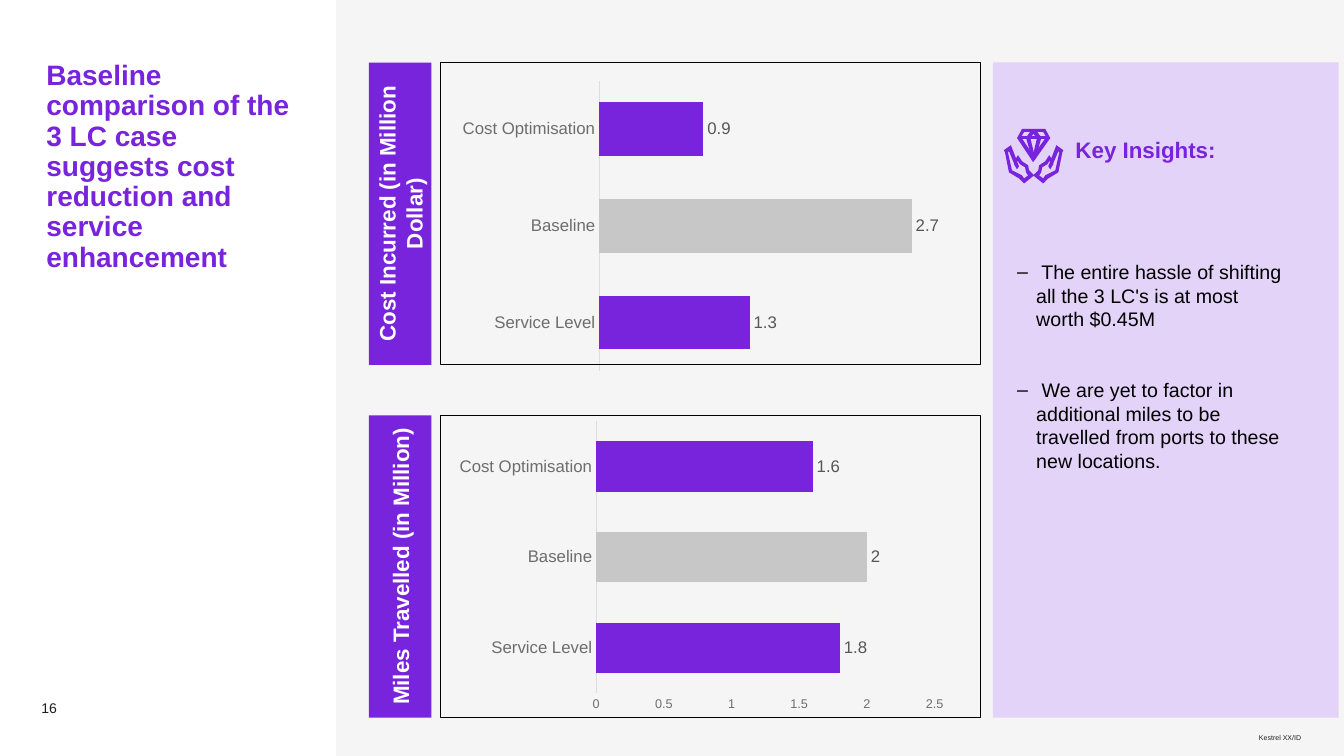
from lxml.etree import SubElement
from pptx import Presentation
from pptx.chart.data import CategoryChartData
from pptx.dml.color import RGBColor
from pptx.enum.chart import XL_CHART_TYPE, XL_LABEL_POSITION, XL_TICK_MARK
from pptx.enum.shapes import MSO_SHAPE
from pptx.enum.text import MSO_ANCHOR, PP_ALIGN
from pptx.oxml.ns import qn
from pptx.util import Inches, Pt

PURPLE, LILAC, WHITE, BLACK, INK = "7823DC", "E4D3F8", "FFFFFF", "000000", "1E1E1E"
GREY, LABEL_GREY, AXIS_GREY, RULE_GREY = "C7C7C7", "565656", "6D6D6D", "DDDDDD"
FONT = "Arial"
CELL = 1 / 3  # the slide is a grid of 40 columns by 22.5 rows


def rgb(value):
    return RGBColor.from_string(value)


def grid(*cells):
    return [Inches(c * CELL) for c in cells]


class SlideBuilder:
    def __init__(self, prs, background):
        self.slide = prs.slides.add_slide(prs.slide_layouts[5])
        self.shapes = self.slide.shapes
        self.slide.background.fill.solid()
        self.slide.background.fill.fore_color.rgb = rgb(background)

    def font(self, font, size, color, bold=False):
        font.name, font.size, font.bold = FONT, Pt(size), bold
        font.color.rgb = rgb(color)

    def fill_text(self, tf, lines, size, color, bold=False, align=PP_ALIGN.LEFT,
                  anchor=MSO_ANCHOR.TOP, inset=(0, 0), spacing=None):
        tf.word_wrap, tf.vertical_anchor = True, anchor
        tf.margin_left = tf.margin_right = Inches(inset[0])
        tf.margin_top = tf.margin_bottom = Inches(inset[1])
        tf.text = "\n".join(lines)
        for p in tf.paragraphs:
            p.alignment, p.line_spacing = align, spacing
            for r in p.runs:
                self.font(r.font, size, color, bold)

    def title(self, box, text):
        sp = self.shapes.title
        sp.left, sp.top, sp.width, sp.height = grid(*box)
        self.fill_text(sp.text_frame, [text], 20, PURPLE, True, spacing=0.9)

    def text(self, box, lines, size, color, **style):
        sp = self.shapes.add_textbox(*grid(*box))
        self.fill_text(sp.text_frame, lines, size, color, **style)
        return sp

    def paint(self, sp, fill=None, line=None):
        sp.shadow.inherit = False
        if fill:
            sp.fill.solid()
            sp.fill.fore_color.rgb = rgb(fill)
        else:
            sp.fill.background()
        if line:
            sp.line.color.rgb, sp.line.width = rgb(line), Pt(0.75)
        else:
            sp.line.fill.background()

    def rect(self, box, fill=None, line=None):
        sp = self.shapes.add_shape(MSO_SHAPE.RECTANGLE, *grid(*box))
        self.paint(sp, fill, line)
        return sp

    def side_label(self, box, text):
        col, row, width, height = box
        shift = (height - width) / 2
        sp = self.rect((col - shift, row + shift, height, width), PURPLE)
        sp.rotation = 270
        self.fill_text(sp.text_frame, [text], 16, WHITE, True, PP_ALIGN.CENTER,
                       MSO_ANCHOR.MIDDLE, (0.1, 0.05))

    def bullets(self, box, lines, gap):
        sp = self.text(box, lines, 14, BLACK)
        for i, p in enumerate(sp.text_frame.paragraphs):
            pPr = p._p.get_or_add_pPr()
            pPr.set("marL", str(Inches(0.19)))
            pPr.set("indent", str(-Inches(0.19)))
            color = SubElement(pPr, qn("a:buClr"))
            SubElement(color, qn("a:srgbClr")).set("val", BLACK)
            SubElement(pPr, qn("a:buFont")).set("typeface", FONT)
            SubElement(pPr, qn("a:buChar")).set("char", "–")
            if i:
                p.space_before = Pt(gap)

    def bar_chart(self, box, values, top, show_axis):
        data = CategoryChartData()
        data.categories = ["Service Level", "Baseline", "Cost Optimisation"]
        data.add_series("Series 1", values)
        chart = self.shapes.add_chart(
            XL_CHART_TYPE.BAR_CLUSTERED, *grid(*box), data).chart
        chart.has_legend = chart.has_title = False
        self.font(chart.font, 10, INK)

        cat, val = chart.category_axis, chart.value_axis
        for axis, size in ((cat, 12), (val, 9)):
            axis.has_major_gridlines = False
            axis.major_tick_mark = axis.minor_tick_mark = XL_TICK_MARK.NONE
            self.font(axis.tick_labels.font, size, AXIS_GREY)
        cat.format.line.color.rgb, cat.format.line.width = rgb(RULE_GREY), Pt(0.75)
        val.format.line.fill.background()
        val.minimum_scale, val.maximum_scale, val.major_unit = 0, top, 0.5
        val.visible = show_axis

        plot = chart.plots[0]
        plot.gap_width, plot.vary_by_categories = 80, False
        for i, color in enumerate((PURPLE, GREY, PURPLE)):
            fill = plot.series[0].points[i].format.fill
            fill.solid()
            fill.fore_color.rgb = rgb(color)
        plot.has_data_labels = True
        labels = plot.data_labels
        labels.show_value, labels.position = True, XL_LABEL_POSITION.OUTSIDE_END
        self.font(labels.font, 12, LABEL_GREY)

    def outline(self, contours, color):
        """Filled outline; points are in hundredths of an inch."""
        builder = self.shapes.build_freeform(*contours[0][0], scale=Inches(0.01))
        for i, contour in enumerate(contours):
            if i:
                builder.move_to(*contour[0])
            builder.add_line_segments(contour[1:], close=True)
        self.paint(builder.convert_to_shape(), color)


# Diamond held in two hands; the left hand mirrors the right one
RIGHT_HAND = [
    [(1048, 144), (1043, 157), (1041, 154), (1037, 160), (1031, 164), (1030, 169),
     (1025, 174), (1035, 182), (1040, 177), (1050, 171), (1054, 151), (1055, 149)],
    [(1040, 165), (1042, 168), (1045, 163), (1045, 162), (1050, 150), (1051, 151),
     (1047, 169), (1037, 174), (1035, 177), (1031, 174), (1033, 171), (1034, 166),
     (1039, 163), (1041, 160), (1042, 160)],
]
LEFT_HAND = [[(2051 - x, y) for x, y in contour] for contour in RIGHT_HAND]
DIAMOND = [
    [(1025, 161), (1009, 137), (1014, 128), (1037, 128), (1042, 137)],
    [(1013, 136), (1025, 154), (1038, 136), (1035, 131), (1016, 131)],
]
FACETS = [
    [(1011, 135), (1040, 135), (1040, 138), (1011, 138)],
    [(1018, 137), (1022, 136), (1027, 157), (1024, 158)],
    [(1024, 157), (1029, 136), (1033, 137), (1027, 158)],
    [(1019, 135), (1024, 128), (1027, 131), (1021, 138)],
    [(1024, 131), (1027, 128), (1032, 135), (1029, 138)],
]


def main():
    prs = Presentation()
    prs.slide_width, prs.slide_height = grid(40, 22.5)
    s = SlideBuilder(prs, "F5F5F5")

    # Title panel, placed behind the title
    panel = s.rect((0, 0, 10, 22.5), WHITE)
    s.shapes.title._element.addprevious(panel._element)
    s.title((1.38, 1.83, 7.5, 7.26),
            "Baseline comparison of the 3 LC case suggests "
            "cost reduction and service enhancement")

    # Footer
    s.text((36.78, 21.57, 1.95, 0.51), ["Kestrel XX/ID"], 5, INK,
           align=PP_ALIGN.RIGHT, anchor=MSO_ANCHOR.BOTTOM, spacing=0.9)
    s.text((1.23, 20.43, 1.23, 0.9), ["16"], 10, INK,
           anchor=MSO_ANCHOR.BOTTOM, spacing=0.9)

    # Charts with frames and side labels
    panels = [
        (1.86, (13.47, 2.22), "Cost Incurred (in Million Dollar)", (1.3, 2.7, 0.9), 3, False),
        (12.36, (13.38, 12.36), "Miles Travelled (in Million)", (1.8, 2, 1.6), 2.5, True),
    ]
    for row, corner, label, values, top, show_axis in panels:
        s.bar_chart((*corner, 15, 9), values, top, show_axis)
        s.rect((13.11, row, 16.08, 9), line=BLACK)
        s.side_label((10.98, row, 1.86, 9), label)

    # Key insights
    s.rect((29.55, 1.86, 10.29, 19.5), LILAC)
    for contours in (RIGHT_HAND, LEFT_HAND, DIAMOND, *([facet] for facet in FACETS)):
        s.outline(contours, PURPLE)
    s.text((31.62, 3.84, 5.7, 1.2), ["Key Insights:"], 16, PURPLE, bold=True,
           anchor=MSO_ANCHOR.MIDDLE, inset=(0.13, 0.07))
    s.bullets((30.27, 7.74, 7.89, 6.99), [
        " The entire hassle of shifting all the 3 LC's is at most worth $0.45M",
        " We are yet to factor in additional miles to be travelled "
        "from ports to these new locations.",
    ], gap=34)

    prs.save("out.pptx")


if __name__ == "__main__":
    main()
